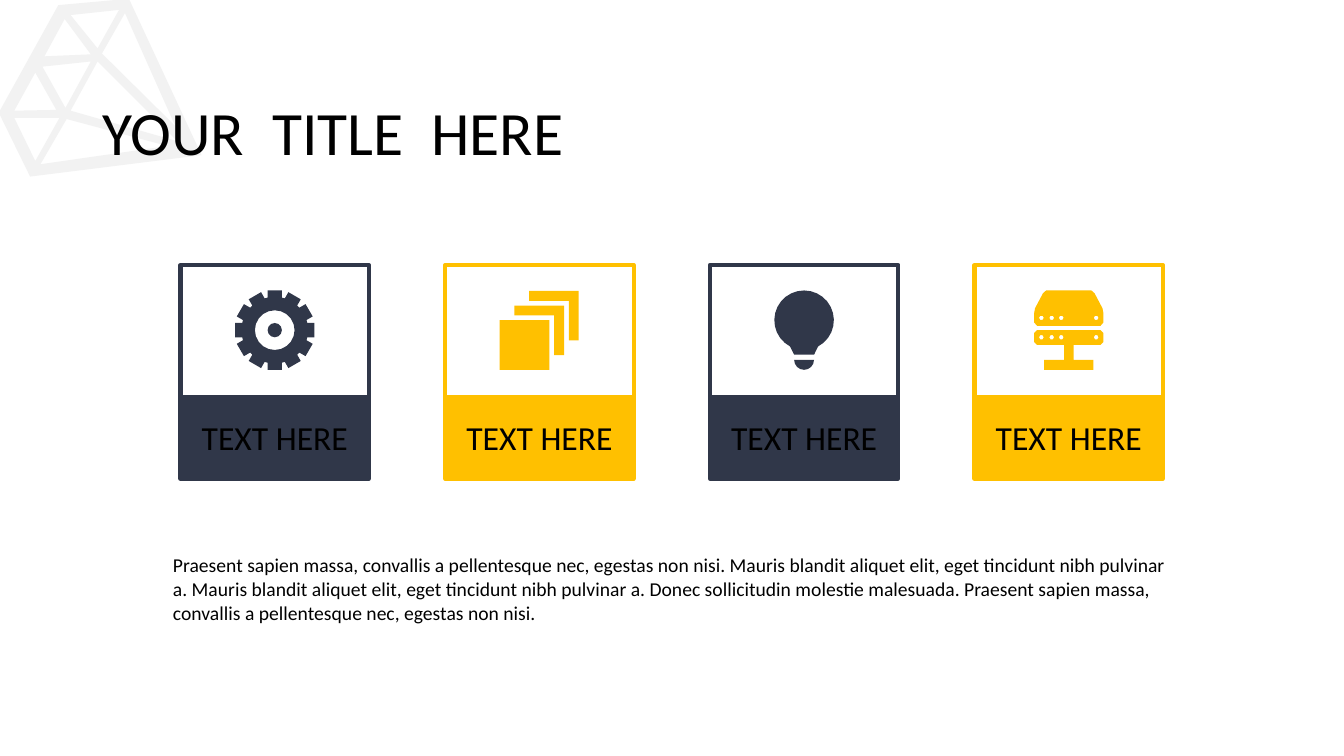
from dataclasses import dataclass
from math import cos, radians, sin
from typing import Callable

from pptx import Presentation
from pptx.dml.color import RGBColor
from pptx.enum.shapes import MSO_SHAPE as Preset
from pptx.enum.text import MSO_ANCHOR as Anchor
from pptx.enum.text import MSO_AUTO_SIZE as AutoSize
from pptx.enum.text import PP_ALIGN as Align
from pptx.util import Cm, Pt

Point = tuple[float, float]
Contour = list[Point]


@dataclass(frozen=True)
class Theme:
    font: str = "Calibri"
    ink: str = "000000"
    navy: str = "303749"
    amber: str = "FFC000"
    pale: str = "F2F2F2"
    title_size: int = 44
    label_size: int = 24
    body_size: int = 14
    border: int = 3


THEME = Theme()

# Card row and icon centre, in cm
CARD_LEFT, CARD_PITCH, CARD_WIDTH = 4.55, 6.67, 4.75
CARD_TOP, CARD_HEIGHT = 6.68, 5.38
BAND_TOP, BAND_HEIGHT = 9.96, 2.11
ICON_Y = 8.32

# Gem in the corner: its outline, then its facets
GEM: list[Contour] = [
    [(1.47, 0.13), (-0.03, 2.84), (0.76, 4.45), (5.08, 3.91), (3.25, -0.03)],
    [(3, 0.25), (2.46, 1.22), (1.78, 0.38)],
    [(1.63, 0.48), (2.29, 1.37), (1.12, 1.42)],
    [(2.29, 1.55), (1.65, 2.72), (1.07, 1.68)],
    [(0.89, 1.83), (1.42, 2.77), (0.36, 2.79)],
    [(0.36, 2.97), (1.5, 2.97), (0.89, 4.06)],
    [(1.02, 4.14), (1.68, 3), (4.22, 3.68)],
    [(1.78, 2.79), (2.46, 1.55), (4.47, 3.56)],
    [(4.42, 3.18), (2.57, 1.35), (3.15, 0.33)],
]

BODY = (
    "Praesent sapien massa, convallis a pellentesque nec, egestas non nisi. "
    "Mauris blandit aliquet elit, eget tincidunt nibh pulvinar a. "
    "Mauris blandit aliquet elit, eget tincidunt nibh pulvinar a. "
    "Donec sollicitudin molestie malesuada. "
    "Praesent sapien massa, convallis a pellentesque nec, egestas non nisi."
)


# Geometry
def arc(x: float, y: float, r: float, sides: int, start: int = 0, end: int = 360) -> Contour:
    angles = [radians(start + (end - start) * k / sides) for k in range(sides + 1)]
    return [(x + r * cos(a), y + r * sin(a)) for a in angles]


def ring(x: float, y: float, r: float, sides: int) -> Contour:
    return arc(x, y, r, sides)[:-1]


def turn(point: Point, angle: float) -> Point:
    x, y = point
    c, d = cos(radians(angle)), sin(radians(angle))
    return x * c - y * d, x * d + y * c


def mirror(right: Contour) -> Contour:
    return right + [(-x, y) for x, y in reversed(right)]


# Drawing
def place(sp, left: float, top: float, width: float, height: float) -> None:
    sp.left, sp.top, sp.width, sp.height = map(Cm, (left, top, width, height))


def write(sp, text: str, *, size: int, align=Align.LEFT, anchor=Anchor.TOP,
          fit=AutoSize.NONE, spacing: float = 1.0) -> None:
    tf = sp.text_frame
    tf.word_wrap, tf.auto_size, tf.vertical_anchor = True, fit, anchor
    p = tf.paragraphs[0]
    p.alignment, p.line_spacing = align, spacing
    r = p.add_run()
    r.text = text
    r.font.name, r.font.size = THEME.font, Pt(size)
    r.font.color.rgb = RGBColor.from_string(THEME.ink)


def paint(sp, color: str) -> None:
    sp.shadow.inherit = False
    sp.fill.solid()
    sp.fill.fore_color.rgb = RGBColor.from_string(color)
    sp.line.fill.background()


def add_rect(s, left: float, top: float, width: float, height: float, color: str):
    sp = s.shapes.add_shape(Preset.RECTANGLE, Cm(left), Cm(top), Cm(width), Cm(height))
    paint(sp, color)
    return sp


def add_outline(s, contours: list[Contour], color: str, x: float = 0, y: float = 0):
    paths = [[(Cm(x + px), Cm(y + py)) for px, py in c] for c in contours]
    builder = s.shapes.build_freeform(*paths[0][0])
    builder.add_line_segments(paths[0][1:], close=True)
    for path in paths[1:]:
        builder.move_to(*path[0])
        builder.add_line_segments(path[1:], close=True)
    sp = builder.convert_to_shape()
    paint(sp, color)
    return sp


# Icons, drawn within 1 cm of their centre
def draw_gear(s, x: float, y: float, color: str) -> None:
    tooth = [(0.82, -0.18), (1, -0.18), (1, 0.18), (0.82, 0.18)]
    rim = [turn(point, 30 * k) for k in range(12) for point in tooth]
    add_outline(s, [rim, ring(0, 0, 0.5, 20), ring(0, 0, 0.18, 12)], color, x, y)


def draw_layers(s, x: float, y: float, color: str) -> None:
    side, thick, step = 1.25, 0.25, 0.37
    add_rect(s, x - 1, y + 1 - side, side, side, color)
    inner = side - thick
    bracket = [(0, 0), (side, 0), (side, side), (inner, side), (inner, thick), (0, thick)]
    for k in (1, 2):
        add_outline(s, [bracket], color, x - 1 + k * step, y + 1 - side - k * step)


def draw_bulb(s, x: float, y: float, color: str) -> None:
    add_outline(s, [arc(0, 0.75, 0.25, 8, 0, 180)], color, x, y)
    glass = arc(0, -0.25, 0.75, 24, 118, 422) + [(0.25, 0.62), (-0.25, 0.62)]
    add_outline(s, [glass], color, x, y)


def draw_server(s, x: float, y: float, color: str) -> None:
    top = [(0.57, -1), (0.65, -0.93), (0.85, -0.55), (0.87, -0.44), (0.87, -0.19), (0.8, -0.11)]
    base = [(0.8, 0), (0.87, 0.07), (0.87, 0.3), (0.8, 0.37),
            (0.12, 0.37), (0.12, 0.75), (0.62, 0.75), (0.62, 1)]
    for half, light_y in ((top, -0.31), (base, 0.18)):
        lights = [ring(light_x, light_y, 0.06, 6) for light_x in (-0.69, -0.43, -0.19, 0.69)]
        add_outline(s, [mirror(half), *lights], color, x, y)


@dataclass(frozen=True)
class Card:
    label: str
    color: str
    draw_icon: Callable


CARDS = [
    Card("TEXT HERE", THEME.navy, draw_gear),
    Card("TEXT HERE", THEME.amber, draw_layers),
    Card("TEXT HERE", THEME.navy, draw_bulb),
    Card("TEXT HERE", THEME.amber, draw_server),
]


def add_card(s, card: Card, left: float) -> None:
    frame = add_rect(s, left, CARD_TOP, CARD_WIDTH, CARD_HEIGHT, card.color)
    frame.fill.background()
    frame.line.color.rgb = RGBColor.from_string(card.color)
    frame.line.width = Pt(THEME.border)
    band = add_rect(s, left, BAND_TOP, CARD_WIDTH, BAND_HEIGHT, card.color)
    write(band, card.label, size=THEME.label_size, align=Align.CENTER, anchor=Anchor.MIDDLE)
    card.draw_icon(s, left + CARD_WIDTH / 2, ICON_Y, card.color)


def main() -> None:
    prs = Presentation()
    prs.slide_width, prs.slide_height = Cm(33.87), Cm(19.05)
    s = prs.slides.add_slide(prs.slide_layouts[5])

    # Title, with the gem behind it
    title = s.shapes.title
    place(title, 2.33, 1.02, 29.21, 3.35)
    write(title, "YOUR  TITLE  HERE", size=THEME.title_size, anchor=Anchor.BOTTOM, spacing=0.9)
    title.element.addprevious(add_outline(s, GEM, THEME.pale).element)

    # Cards
    for i, card in enumerate(CARDS):
        add_card(s, card, CARD_LEFT + i * CARD_PITCH)

    # Body text
    body = s.shapes.add_textbox(Cm(4.11), Cm(13.82), Cm(25.6), Cm(2.06))
    write(body, BODY, size=THEME.body_size, fit=AutoSize.SHAPE_TO_FIT_TEXT)

    prs.save("out.pptx")


if __name__ == "__main__":
    main()
